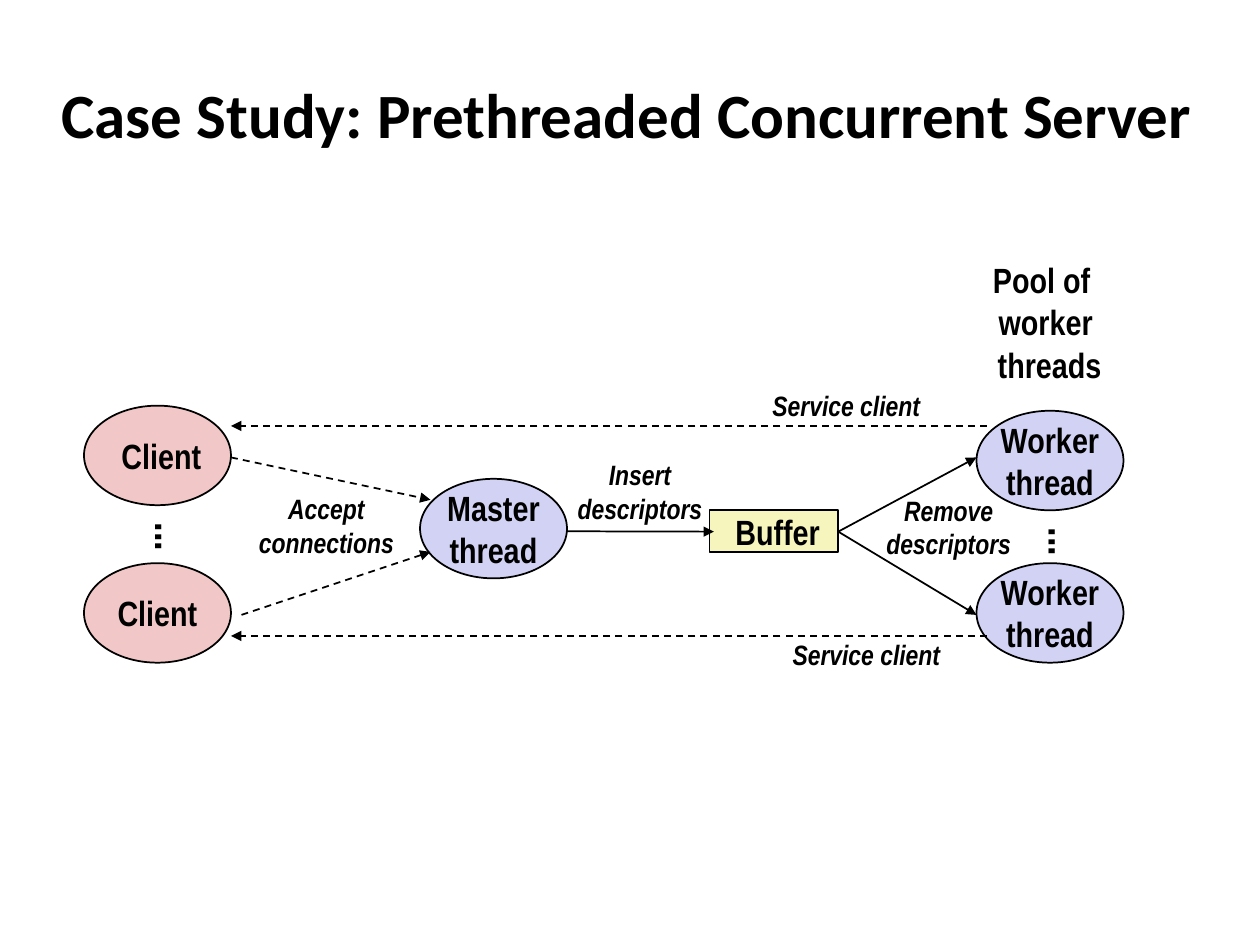
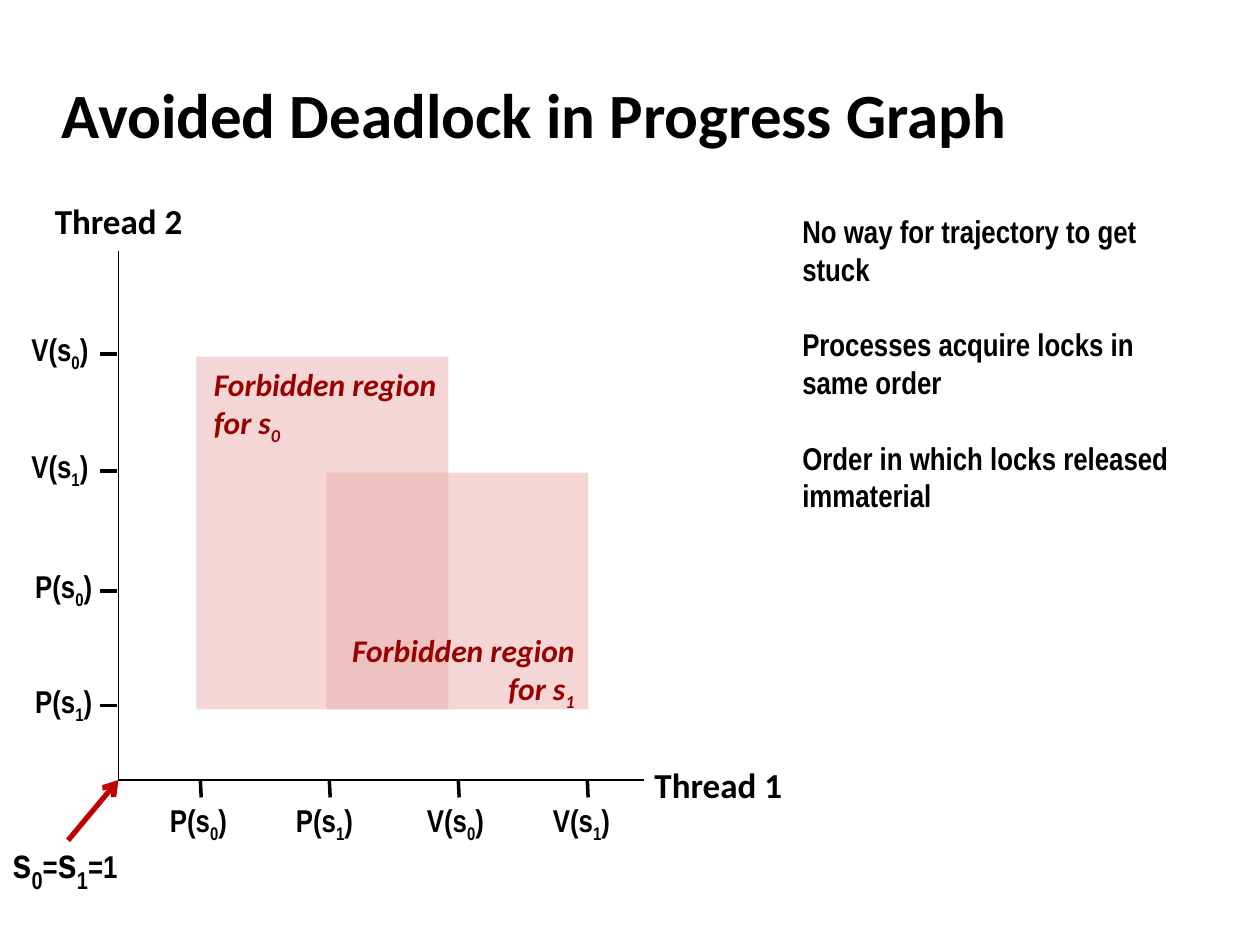
from pptx import Presentation
from pptx.dml.color import RGBColor as Rgb
from pptx.enum.dml import MSO_LINE as Dash
from pptx.enum.shapes import MSO_CONNECTOR as Link, MSO_SHAPE as Form
from pptx.enum.text import MSO_ANCHOR as Anchor, MSO_AUTO_SIZE as Fit, PP_ALIGN as Align
from pptx.oxml.ns import qn
from pptx.util import Pt
from lxml.etree import SubElement as Sub

BLACK, PINK, LILAC, CREAM = "000000", "F1C7C7", "D2D2F4", "F6F5BD"
ZONE, DARK, RED = "EBAFAF", "990000", "C00000"
NARROW, SANS = "Arial Narrow", "Calibri"
MID, LEFT, RIGHT = Align.CENTER, Align.LEFT, Align.RIGHT

# Slide 1: form, fill, box, lines of text
OVAL = (84, 56.9)
NODES = [
    (Form.OVAL, LILAC, (240, 273.6, *OVAL), ["Master", "thread"]),
    (Form.RECTANGLE, CREAM, (405.4, 291.6, 73.4, 24), [" Buffer"]),
    (Form.OVAL, LILAC, (558, 234.7, *OVAL), ["Worker", "thread"]),
    (Form.OVAL, LILAC, (558, 321.8, *OVAL), ["Worker", "thread"]),
    (Form.OVAL, PINK, (48, 231.8, *OVAL), [" Client"]),
    (Form.OVAL, PINK, (48, 321.8, *OVAL), ["Client"]),
]
# start, end, dashed
FLOWS = [
    ((324, 303.6), (408, 303.8), False),
    ((479, 303.8), (558, 261.4), False),
    ((479, 303.8), (558, 351.4), False),
    ((132, 261.4), (246, 285.6), True),
    ((138, 351.4), (246, 315.4), True),
    ((564, 243.4), (132, 243.4), True),
    ((564, 363.4), (132, 363.4), True),
]
NOTES = [
    ((137.5, 277.2, 98, 46), ["Accept", "connections"]),
    ((319.7, 257.8, 92, 46), ["Insert", "descriptors"]),
    ((496.1, 277.9, 92, 46), ["Remove", "descriptors"]),
    ((430.6, 218.2, 106, 26.6), ["Service client"]),
    ((442.1, 360.7, 106, 26.6), ["Service client"]),
]
POOL = ["Pool of ", "worker", " threads"]
DOTS = [(586.8, 294.5, 44, 26.6, LEFT), (76.3, 291.6, 44, 26.6, MID)]

# Slide 2: "_" lowers the next character, "|" starts a new run
ORIGIN = (67.7, 445.7)
ENDS = [(368, 445.7), (67.7, 143.3)]
AXES = [("Thread 1", (366.5, 432.7, 88, 31.7)), ("Thread 2", (23.8, 110.2, 88, 31.7))]
ACROSS = [("P(s_0)", 90), ("P(s_1)", 162), ("V(s_0)", 236.9), ("V(s_1)", 308.9)]
UP = [("P(s_1)", 403.2, 13), ("P(s_0)", 337.7, 13),
      ("V(s_1)", 269.3, 10.8), ("V(s_0)", 202.3, 10.8)]
ZONES = [
    ((112.3, 203.8, 144, 201.6), (115.2, 205.2, 148.3, 51), "for s_0", LEFT),
    ((186.5, 270, 149.8, 135.4), (187.9, 357.1, 147.6, 51), "for s_1", RIGHT),
]
START = "s_0|=|s_1|=1"
POINTS = [
    "No way for trajectory to get stuck",
    "Processes acquire locks in same order",
    "Order in which locks released immaterial",
]


def tint(code):
    """Turn a hex string into a colour."""
    return Rgb.from_string(code)


def pts(vals):
    """Turn numbers into point lengths."""
    return [Pt(v) for v in vals]


def write(frame, lines, size, font=NARROW, ital=False, ink=BLACK, align=LEFT):
    """Write lines as paragraphs, with lowered characters after "_"."""
    frame.text = "\n".join(lines)
    for para in frame.paragraphs:
        para.alignment = align
        line = para.text
        if "_" in line:
            para.clear()
            for chunk in line.split("|"):
                head, *tails = chunk.split("_")
                para.add_run().text = head
                for tail in tails:
                    low = para.add_run()
                    low.text = tail[0]
                    low.font._element.set("baseline", "-25000")
                    if tail[1:]:
                        para.add_run().text = tail[1:]
        for run in para.runs:
            face = run.font
            face.size, face.name, face.bold, face.italic = Pt(size), font, True, ital
            face.color.rgb = tint(ink)


def label(slide, box, lines, size, wrap=False, anchor=Anchor.MIDDLE, **look):
    """Add a text box and return its frame."""
    frame = slide.shapes.add_textbox(*pts(box)).text_frame
    frame.word_wrap, frame.vertical_anchor = wrap, anchor
    frame.auto_size = Fit.SHAPE_TO_FIT_TEXT
    write(frame, lines, size, **look)
    return frame


def block(slide, form, box, fill):
    """Add a filled shape without shadow or outline."""
    shape = slide.shapes.add_shape(form, *pts(box))
    shape.shadow.inherit = False
    shape.fill.solid()
    shape.fill.fore_color.rgb = tint(fill)
    shape.line.fill.background()
    return shape


def link(slide, start, end, width=1, ink=BLACK, dash=False, tip=None):
    """Add a straight line, with an arrowhead at its end if tip is given."""
    conn = slide.shapes.add_connector(Link.STRAIGHT, *pts(start + end))
    conn.line.width = Pt(width)
    conn.line.color.rgb = tint(ink)
    if dash:
        conn.line.dash_style = Dash.DASH
    if tip:
        Sub(conn.line._get_or_add_ln(), qn("a:tailEnd"), type=tip)
    Sub(conn._element.spPr, qn("a:effectLst"))


def page(deck, title):
    """Add a blank slide with the shared title."""
    slide = deck.slides.add_slide(deck.slide_layouts[6])
    frame = label(slide, (28, 34.6, 674, 59.8), [title], 36, wrap=True, font=SANS)
    frame.auto_size = Fit.NONE
    return slide


def server(deck):
    """Draw the prethreaded server diagram."""
    slide = page(deck, "Case Study: Prethreaded Concurrent Server")
    for form, fill, box, lines in NODES:
        shape = block(slide, form, box, fill)
        shape.line.color.rgb = tint(BLACK)
        shape.line.width = Pt(1)
        frame = shape.text_frame
        frame.margin_top = frame.margin_bottom = 0
        frame.word_wrap, frame.vertical_anchor = False, Anchor.MIDDLE
        write(frame, lines, 20, align=MID)
    for start, end, dash in FLOWS:
        link(slide, start, end, dash=dash, tip="triangle")
    for box, lines in NOTES:
        label(slide, box, lines, 16, ital=True, align=MID)
    label(slide, (555.8, 144, 83.5, 80), POOL, 20, align=MID)
    for *box, align in DOTS:
        frame = label(slide, box, ["..."], 24, align=align)
        frame._txBody.bodyPr.set("vert", "eaVert")


def graph(deck):
    """Draw the progress graph with its forbidden regions."""
    slide = page(deck, "Avoided Deadlock in Progress Graph")
    left, base = ORIGIN
    for end in ENDS:
        link(slide, ORIGIN, end)
    for name, box in AXES:
        label(slide, box, [name], 20, font=SANS, align=MID)
    for num, (name, x) in enumerate(ACROSS):
        tick = 114.5 + 73.7 * num
        link(slide, (tick, base), (tick + 0.5, base + 10), 2)
        label(slide, (x, base + 10, 49.3, 28.8), [name], 18)
    for name, y, x in UP:
        link(slide, (left - 10.8, y), (left - 0.7, y), 2)
        label(slide, (x, y - 15.8, 49.3, 28.8), [name], 18)
    for box, *rest in ZONES:
        shape = block(slide, Form.RECTANGLE, box, ZONE)
        hue = shape._element.spPr.find(".//" + qn("a:srgbClr"))
        Sub(hue, qn("a:alpha"), val="50000")
    for zone, box, line, align in ZONES:
        label(slide, box, ["Forbidden region", line], 18, anchor=Anchor.TOP,
              font=SANS, ital=True, ink=DARK, align=align)
    frame = label(slide, (0, 480.2, 77.8, 28.8), [START], 24)
    frame.margin_top = frame.margin_bottom = 0
    for run in frame.paragraphs[0].runs:
        if run.text.startswith("="):
            run.font.size = Pt(18)
    link(slide, (38.9, 480.2), ORIGIN, 3, RED, tip="arrow")
    frame = label(slide, (451.4, 121, 244.8, 172.8), POINTS, 18, wrap=True, anchor=Anchor.TOP)
    frame.margin_top = frame.margin_bottom = 0
    for para in frame.paragraphs[1:]:
        para.space_before = Pt(21.6)


deck = Presentation()
deck.slide_width, deck.slide_height = Pt(720), Pt(540)
server(deck)
graph(deck)
deck.save("out.pptx")
